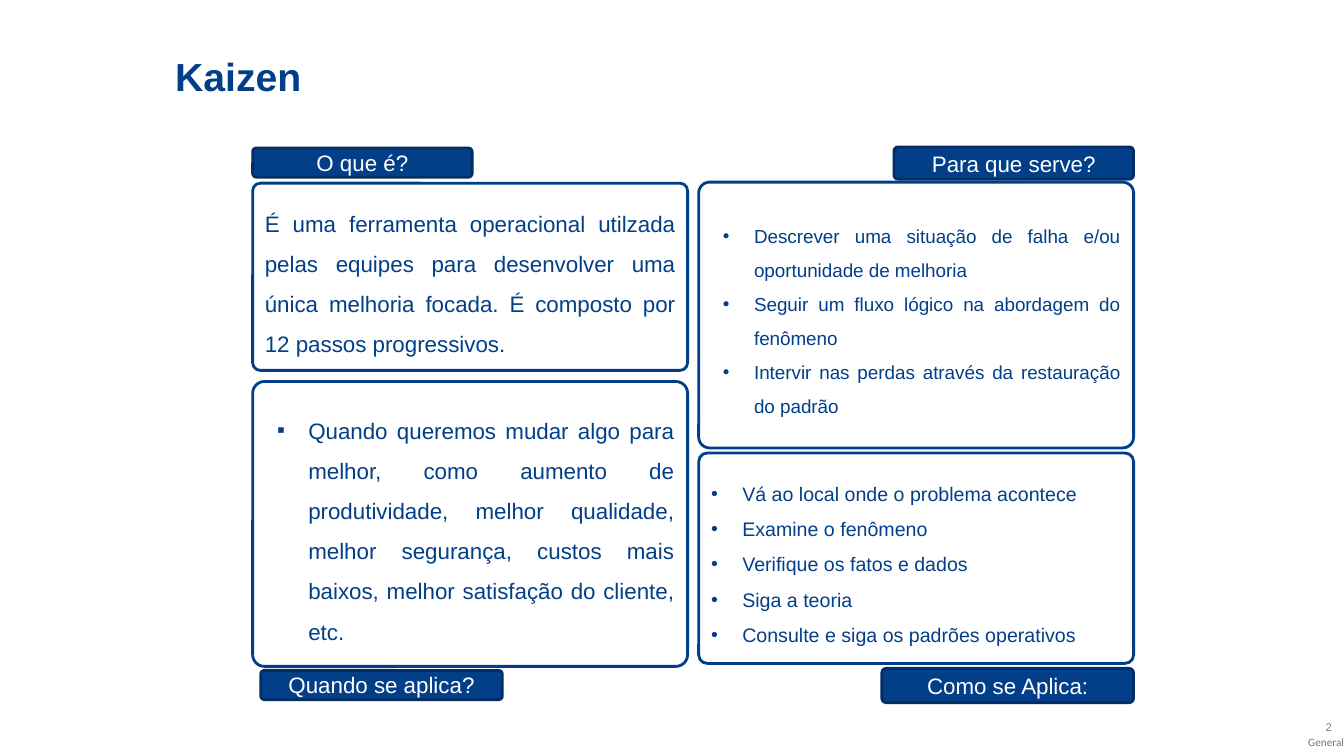
"""Build the Kaizen overview slide: four labelled panels around a title."""
from dataclasses import dataclass

from lxml.etree import SubElement
from pptx import Presentation
from pptx.dml.color import RGBColor
from pptx.enum.shapes import MSO_SHAPE as Preset
from pptx.enum.text import MSO_ANCHOR as Anchor, MSO_AUTO_SIZE as AutoSize, PP_ALIGN as Align
from pptx.oxml.ns import qn
from pptx.shapes.autoshape import Shape
from pptx.slide import Slide
from pptx.text.text import TextFrame, _Paragraph as Paragraph
from pptx.util import Inches, Pt

COLORS = {
    "blue": "023F88",
    "dark_blue": "012F65",
    "white": "FFFFFF",
    "gray": "808080",
    "dark_gray": "737373",
}
BULLET_HANG = 0.31
PANEL_WIDTH = 4.32
LEFT_COLUMN, RIGHT_COLUMN = 2.51, 6.94


@dataclass(frozen=True)
class Box:
    left: float
    top: float
    width: float
    height: float

    def lengths(self) -> tuple[Inches, ...]:
        return tuple(Inches(value) for value in (self.left, self.top, self.width, self.height))


@dataclass(frozen=True)
class Label:
    text: str
    box: Box


@dataclass(frozen=True)
class Panel:
    box: Box
    lines: tuple[str, ...]
    size: float
    align: Align = Align.JUSTIFY
    bullet: str = ""
    indent: float = 0


@dataclass(frozen=True)
class Footer:
    text: str
    box: Box
    font: str
    color: str
    margins: tuple[float, ...]


PANELS = (
    Panel(
        Box(RIGHT_COLUMN, 1.81, PANEL_WIDTH, 2.64),
        (
            "Descrever uma situação de falha e/ou oportunidade de melhoria",
            "Seguir um fluxo lógico na abordagem do fenômeno",
            "Intervir nas perdas através da restauração do padrão",
        ),
        13.5, bullet="•", indent=0.42,
    ),
    Panel(
        Box(LEFT_COLUMN, 1.82, PANEL_WIDTH, 1.86),
        (
            "É uma ferramenta operacional utilzada pelas equipes para desenvolver uma "
            "única melhoria focada. É composto por 12 passos progressivos.",
        ),
        16,
    ),
    Panel(
        Box(RIGHT_COLUMN, 4.5, PANEL_WIDTH, 2.09),
        (
            "Vá ao local onde o problema acontece",
            "Examine o fenômeno",
            "Verifique os fatos e dados",
            "Siga a teoria",
            "Consulte e siga os padrões operativos",
        ),
        14, Align.LEFT, "•", BULLET_HANG,
    ),
    Panel(
        Box(LEFT_COLUMN, 3.79, PANEL_WIDTH, 2.83),
        (
            "Quando queremos mudar algo para melhor, como aumento de produtividade, "
            "melhor qualidade, melhor segurança, custos mais baixos, melhor satisfação "
            "do cliente, etc.",
        ),
        16, bullet="▪", indent=0.42,
    ),
)
LABELS = (
    Label("O que é?", Box(2.51, 1.47, 2.18, 0.29)),
    Label("Para que serve?", Box(8.88, 1.46, 2.38, 0.32)),
    Label("Quando se aplica?", Box(2.59, 6.66, 2.4, 0.29)),
    Label("Como se Aplica:", Box(8.76, 6.64, 2.5, 0.34)),
)
FOOTERS = (
    Footer("General", Box(12.73, 7.25, 0.62, 0.25), "Calibri", "dark_gray", (0, 0, 0, 0)),
    Footer("2", Box(12.91, 7.14, 0.39, 0.16), "Arial", "gray", (0.05, 0.05, 0.07, 0.05)),
)


def rgb(name: str) -> RGBColor:
    """Return a named colour."""
    return RGBColor.from_string(COLORS[name])


def format_runs(paragraph: Paragraph, size: float, color: str, font: str = "Arial",
                bold: bool = False) -> None:
    """Apply one text style to every run of a paragraph."""
    for run in paragraph.runs:
        run.font.name, run.font.size, run.font.bold = font, Pt(size), bold
        run.font.color.rgb = rgb(color)


def set_margins(text_frame: TextFrame, margins: tuple[float, ...]) -> None:
    """Set the left, top, right and bottom insets."""
    (text_frame.margin_left, text_frame.margin_top,
     text_frame.margin_right, text_frame.margin_bottom) = map(Inches, margins)


def set_bullet(paragraph: Paragraph, bullet: str, indent: float) -> None:
    """Give a paragraph a hanging bullet."""
    properties = paragraph._p.get_or_add_pPr()
    properties.set("marL", str(Inches(indent)))
    properties.set("indent", str(-Inches(BULLET_HANG)))
    SubElement(properties, qn("a:buFont"), typeface="Arial")
    SubElement(properties, qn("a:buChar"), char=bullet)


def add_rounded(slide: Slide, box: Box, fill: str, line: str, rounding: float) -> Shape:
    """Add an outlined rounded rectangle with vertically centred text."""
    shape = slide.shapes.add_shape(Preset.ROUNDED_RECTANGLE, *box.lengths())
    shape.adjustments[0] = rounding
    shape.shadow.inherit = False
    shape.fill.solid()
    shape.fill.fore_color.rgb = rgb(fill)
    shape.line.color.rgb = rgb(line)
    shape.line.width = Pt(2)
    shape.text_frame.word_wrap = True
    shape.text_frame.vertical_anchor = Anchor.MIDDLE
    return shape


def add_label(slide: Slide, label: Label) -> None:
    """Add a filled panel heading."""
    shape = add_rounded(slide, label.box, "blue", "dark_blue", 0.126)
    shape.text_frame.text = label.text
    paragraph = shape.text_frame.paragraphs[0]
    paragraph.alignment = Align.CENTER
    format_runs(paragraph, 16, "white")


def add_panel(slide: Slide, panel: Panel) -> None:
    """Add a white panel with its paragraphs."""
    shape = add_rounded(slide, panel.box, "white", "blue", 0.041)
    shape.text_frame.text = "\n".join(panel.lines)
    for paragraph in shape.text_frame.paragraphs:
        paragraph.alignment = panel.align
        paragraph.line_spacing = 1.5
        if panel.bullet:
            set_bullet(paragraph, panel.bullet, panel.indent)
        format_runs(paragraph, panel.size, "blue")


def add_footer(slide: Slide, footer: Footer) -> None:
    """Add a small right-aligned footer text."""
    text_frame = slide.shapes.add_textbox(*footer.box.lengths()).text_frame
    text_frame.word_wrap = True
    text_frame.vertical_anchor = Anchor.MIDDLE
    set_margins(text_frame, footer.margins)
    text_frame.text = footer.text
    text_frame.paragraphs[0].alignment = Align.RIGHT
    format_runs(text_frame.paragraphs[0], 8, footer.color, footer.font)


def set_title(slide: Slide, text: str, box: Box) -> None:
    """Place and format the title placeholder."""
    title = slide.shapes.title
    title.left, title.top, title.width, title.height = box.lengths()
    text_frame = title.text_frame
    text_frame.text = text
    text_frame.auto_size = AutoSize.NONE
    text_frame.vertical_anchor = Anchor.TOP
    set_margins(text_frame, (0, 0.06, 0.12, 0.06))
    paragraph = text_frame.paragraphs[0]
    paragraph.alignment = Align.LEFT
    paragraph.line_spacing = 0.85
    format_runs(paragraph, 28, "blue", bold=True)


def main() -> None:
    """Build and save the presentation."""
    presentation = Presentation()
    presentation.slide_width, presentation.slide_height = Inches(13.35), Inches(7.5)
    slide = presentation.slides.add_slide(presentation.slide_layouts[5])
    set_title(slide, "Kaizen", Box(1.74, 0.53, 10.85, 0.87))
    for panel in PANELS:
        add_panel(slide, panel)
    for label in LABELS:
        add_label(slide, label)
    for footer in FOOTERS:
        add_footer(slide, footer)
    presentation.save("out.pptx")


if __name__ == "__main__":
    main()
